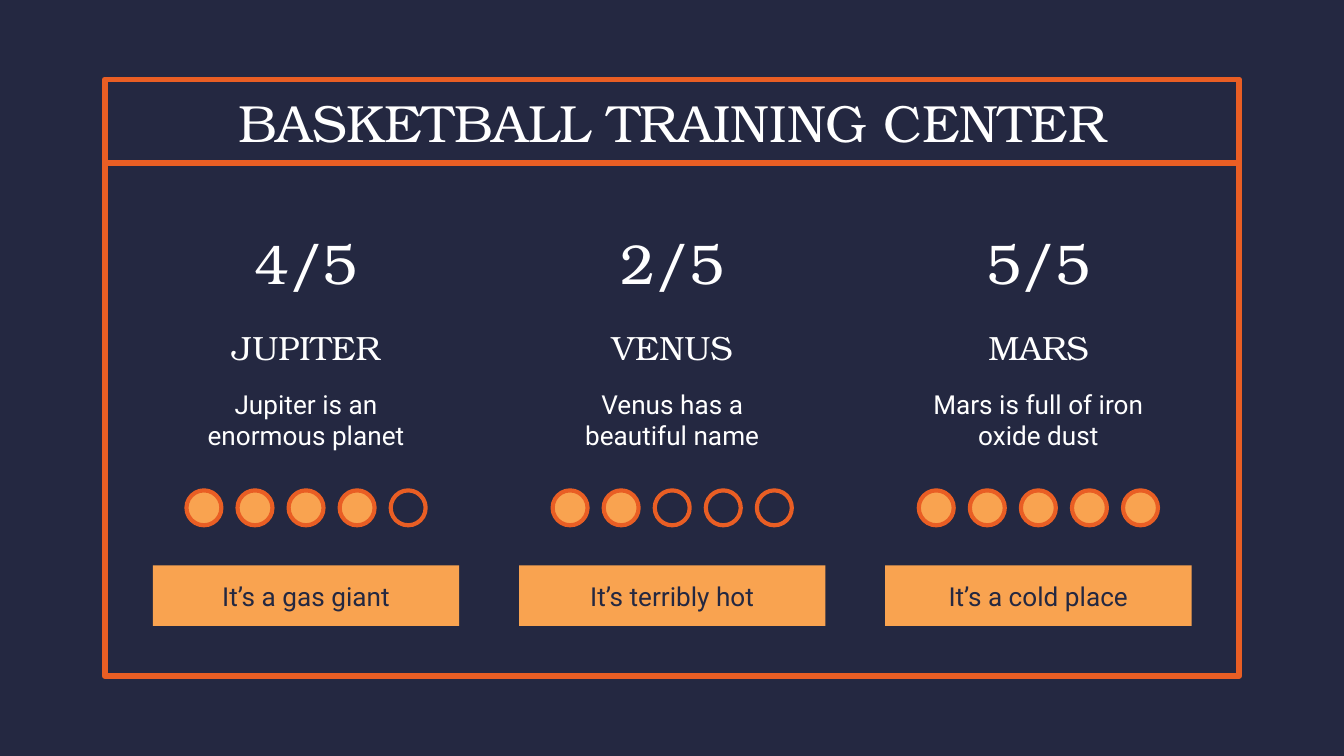
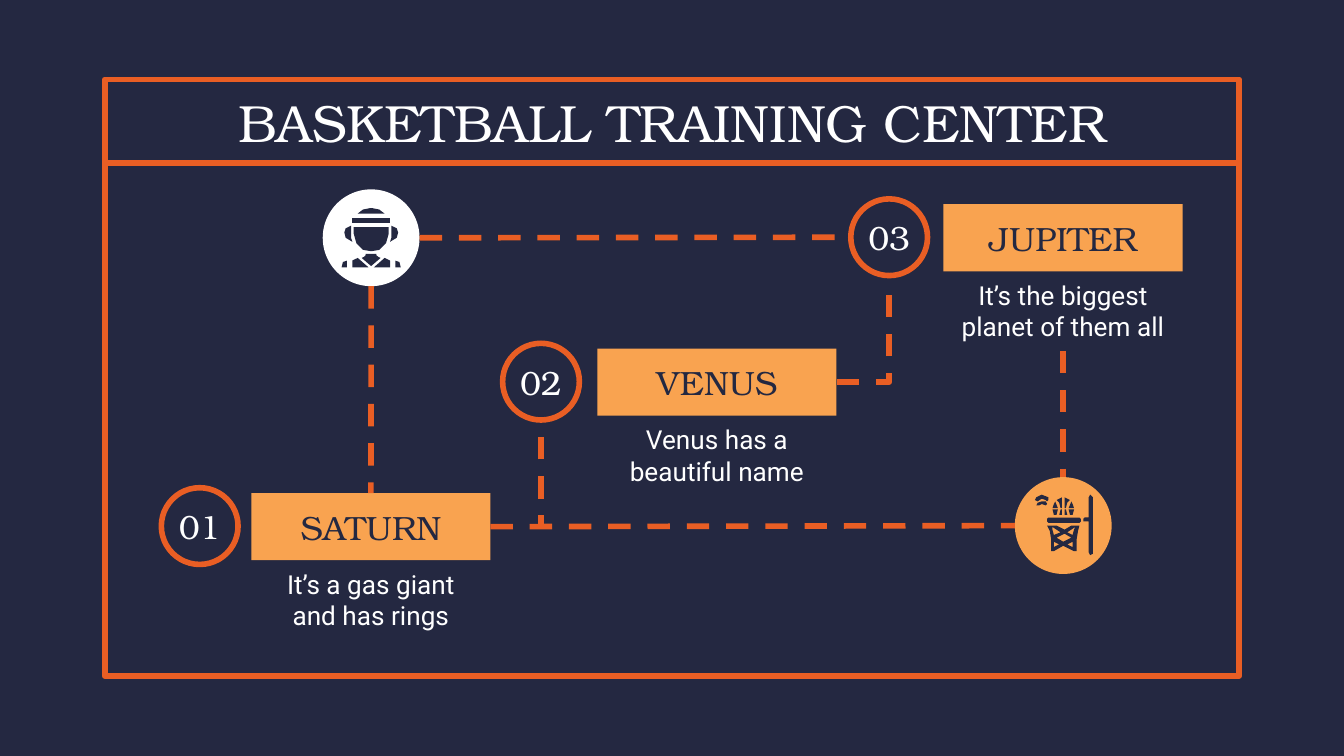
from lxml import etree
from pptx import Presentation
from pptx.dml.color import RGBColor
from pptx.enum.dml import MSO_LINE
from pptx.enum.shapes import MSO_CONNECTOR, MSO_SHAPE, PP_PLACEHOLDER
from pptx.enum.text import MSO_ANCHOR, MSO_AUTO_SIZE, PP_ALIGN
from pptx.oxml.ns import qn
from pptx.util import Cm, Pt

STRAIGHT, ELBOW = MSO_CONNECTOR.STRAIGHT, MSO_CONNECTOR.ELBOW
RECTANGLE, OVAL = MSO_SHAPE.RECTANGLE, MSO_SHAPE.OVAL
TOP, MIDDLE, BOTTOM = MSO_ANCHOR.TOP, MSO_ANCHOR.MIDDLE, MSO_ANCHOR.BOTTOM
CENTER = PP_ALIGN.CENTER
NO_AUTOFIT = MSO_AUTO_SIZE.NONE
DASH = MSO_LINE.DASH
TITLE = PP_PLACEHOLDER.TITLE

COLORS = {"navy": "242841", "orange": "E95E24", "peach": "F9A350", "white": "FFFFFF"}
SERIF, SANS = "TeX Gyre Bonum", "Roboto"
INSET = 0.25
HEADING = "BASKETBALL TRAINING CENTER"
FRAME = (1.98, 1.5, 21.44, 11.28)
TITLE_HEIGHT = 1.6
TEXT_WIDTH = 4.52
NAME_HEIGHT = 1.27
DESCRIPTION_HEIGHT = 1.6

RATINGS = [
    (4, "JUPITER", "Jupiter is an enormous planet", "It’s a gas giant"),
    (2, "VENUS", "Venus has a beautiful name", "It’s terribly hot"),
    (5, "MARS", "Mars is full of iron oxide dust", "It’s a cold place"),
]
DOT_COUNT = 5

STEPS = [
    ("01", 3.05, "SATURN", "It’s a gas giant and has rings"),
    ("02", 9.5, "VENUS", "Venus has a beautiful name"),
    ("03", 16.08, "JUPITER", "It’s the biggest planet of them all"),
]

ICON_SIZE = 1.83
ICON_UNITS = 72
PLAYER_CENTRAL = [
    [[(26, 18), (30, 15), (35, 14), (37, 14), (42, 15), (46, 18)]],
    [[(22, 21), (50, 21), (50, 25), (22, 25)]],
    [[(23, 28), (23, 33), (25, 40), (30, 45), (36, 46), (42, 45), (47, 40), (49, 33), (49, 28)]],
    [[(32, 48), (32, 49), (31, 50), (29, 51), (36, 57), (43, 51), (41, 50), (40, 49), (40, 48)]],
]
PLAYER_SIDE = [
    [[(21, 27), (17, 29), (16, 32), (17, 36), (22, 39), (21, 36), (21, 33)]],
    [[(18, 53), (15, 54), (14, 58), (18, 58)]],
    [[(26, 51), (22, 53), (22, 58), (34, 58)]],
]
HOOP_CENTRAL = [
    [[(20, 13), (16, 15), (15, 17), (17, 18), (20, 16), (23, 17), (24, 18), (25, 17), (25, 15)]],
    [[(20, 18), (17, 19), (16, 21), (18, 21), (20, 20), (23, 21), (24, 20), (23, 18)]],
    [[(56, 13), (55, 15), (55, 30), (52, 30), (51, 31), (51, 33), (55, 33), (55, 56), (56, 58),
      (58, 57), (58, 15)]],
    [[(25, 30), (24, 31), (24, 33), (25, 34), (48, 34), (49, 33), (49, 31), (48, 30)]],
    [
        [(24, 36), (26, 40), (27, 46), (27, 55), (29, 55), (36, 51), (44, 55), (46, 55), (46, 46),
         (47, 40), (48, 36), (42, 36), (37, 39), (31, 36)],
        [(45, 37), (44, 39), (43, 43), (39, 41)],
        [(28, 37), (34, 41), (29, 43), (28, 39)],
        [(37, 42), (42, 45), (36, 48), (31, 45)],
        [(29, 48), (33, 50), (29, 52)],
        [(43, 48), (43, 52), (39, 50)],
    ],
]
HOOP_SIDE = [
    [[(37, 24), (37, 28), (39, 28), (38, 24)]],
    [[(37, 15), (37, 23), (38, 23), (39, 19), (41, 17)]],
    [[(42, 18), (40, 23), (44, 23), (43, 20)]],
    [[(40, 24), (41, 28), (43, 28), (44, 24)]],
]


def color(name):
    return RGBColor.from_string(COLORS[name])


def write(shape, text, size, font, text_color, anchor=MIDDLE, side_inset=INSET, space_after=0):
    frame = shape.text_frame
    frame.word_wrap = True
    frame.auto_size = NO_AUTOFIT
    frame.vertical_anchor = anchor
    frame.margin_left = frame.margin_right = Cm(side_inset)
    frame.margin_top = frame.margin_bottom = Cm(INSET)
    frame.text = text
    paragraph = frame.paragraphs[0]
    paragraph.alignment = CENTER
    paragraph.space_after = Pt(space_after)
    for run in paragraph.runs:
        run.font.size = Pt(size)
        run.font.name = font
        run.font.color.rgb = color(text_color)


def paint(shape, fill=None, line=None, line_width=3):
    shape.shadow.inherit = False
    if fill:
        shape.fill.solid()
        shape.fill.fore_color.rgb = color(fill)
    else:
        shape.fill.background()
    if line:
        shape.line.color.rgb = color(line)
        shape.line.width = Pt(line_width)
    else:
        shape.line.fill.background()


def add_shape(slide, kind, box, fill=None, line=None, line_width=3):
    shape = slide.shapes.add_shape(kind, *map(Cm, box))
    paint(shape, fill, line, line_width)
    return shape


def add_text(slide, box, *args, **kwargs):
    shape = slide.shapes.add_textbox(*map(Cm, box))
    write(shape, *args, **kwargs)


def add_line(slide, start, end, kind=STRAIGHT, dashed=False):
    connector = slide.shapes.add_connector(kind, *start, *end)
    connector.line.color.rgb = color("orange")
    connector.line.width = Pt(3)
    if dashed:
        connector.line.dash_style = DASH
    properties = connector.element.spPr
    if kind == ELBOW:
        properties.find(qn("a:prstGeom")).set("prst", "bentConnector2")
    etree.SubElement(properties, qn("a:effectLst"))
    return connector


def edge(shape, across, down):
    return round(shape.left + shape.width * across), round(shape.top + shape.height * down)


def prepare_layout(presentation, layout):
    background = presentation.slide_master.background.fill
    background.solid()
    background.fore_color.rgb = color("navy")
    left, top, width, height = FRAME
    for placeholder in list(layout.placeholders):
        if placeholder.placeholder_format.type == TITLE:
            placeholder.left, placeholder.top = Cm(left), Cm(top)
            placeholder.width, placeholder.height = Cm(width), Cm(TITLE_HEIGHT)
        else:
            layout.shapes.element.remove(placeholder.element)


def add_frame(slide, layout, box):
    left, top, width, height = box
    border = add_shape(slide, RECTANGLE, box, line="orange")
    divider_top = Cm(top + TITLE_HEIGHT - 0.02)
    divider = add_line(slide, (Cm(left + 0.05), divider_top), (Cm(left + width - 0.05), divider_top))
    for part in (border, divider):
        layout.shapes.element.append(part.element)


def add_titled_slide(presentation, layout):
    slide = presentation.slides.add_slide(layout)
    write(slide.shapes.title, HEADING, 28, SERIF, "white")
    return slide


def add_rating(slide, box, score, name, description, remark):
    left, top, width, height = box
    text_left = left + (width - TEXT_WIDTH) / 2
    add_text(slide, (text_left, top, TEXT_WIDTH, NAME_HEIGHT),
             f"{score}/{DOT_COUNT}", 30, SERIF, "white", space_after=12)
    add_text(slide, (text_left, top + 1.6, TEXT_WIDTH, NAME_HEIGHT),
             name, 18, SERIF, "white", BOTTOM, space_after=12)
    add_text(slide, (text_left, top + 2.77, TEXT_WIDTH, DESCRIPTION_HEIGHT),
             description, 14, SANS, "white", TOP)
    dot_size = 0.66
    dot_pitch = (TEXT_WIDTH - dot_size) / (DOT_COUNT - 1)
    for index in range(DOT_COUNT):
        add_shape(slide, OVAL, (text_left + index * dot_pitch, top + 4.95, dot_size, dot_size),
                  "peach" if index < score else "navy", "orange", 2.25)
    button_height = 1.14
    button = add_shape(slide, RECTANGLE, (left, top + height - button_height, width, button_height), "peach")
    write(button, remark, 14, SANS, "navy")


def build_ratings(slide, box):
    left, top, width, height = box
    column_width = 5.79
    pitch = (width - column_width) / (len(RATINGS) - 1)
    for index, rating in enumerate(RATINGS):
        add_rating(slide, (left + index * pitch, top, column_width, height), *rating)


def add_step(slide, box, number, badge_left, name, description):
    left, top, width, height = box
    label = add_shape(slide, RECTANGLE, (left, top, width, NAME_HEIGHT), "peach")
    write(label, name, 18, SERIF, "navy", BOTTOM, space_after=12)
    add_text(slide, (left, top + height - DESCRIPTION_HEIGHT, width, DESCRIPTION_HEIGHT),
             description, 14, SANS, "white", TOP)
    badge = add_shape(slide, OVAL, (badge_left, top - 0.1, 1.45, 1.45), "navy", "orange")
    write(badge, number, 18, SERIF, "white", side_inset=0)
    return label, badge


def mirrored(outlines):
    return [[[(ICON_UNITS - x, y) for x, y in contour] for contour in outline] for outline in outlines]


def add_icon(slide, left, top, fill, central, side):
    disc = add_shape(slide, OVAL, (left, top, ICON_SIZE, ICON_SIZE), fill)
    group = slide.shapes.add_group_shape()
    for outline in central + side + mirrored(side):
        builder = group.shapes.build_freeform(*outline[0][0], scale=Cm(ICON_SIZE) / ICON_UNITS)
        builder.add_line_segments(outline[0][1:], close=True)
        for contour in outline[1:]:
            builder.move_to(*contour[0])
            builder.add_line_segments(contour[1:], close=True)
        paint(builder.convert_to_shape(Cm(left), Cm(top)), "navy")
    return disc


def build_route(slide, box):
    left, top, width, height = box
    step_height = 2.77
    pitch_x = (width - TEXT_WIDTH) / (len(STEPS) - 1)
    pitch_y = (height - step_height) / (len(STEPS) - 1)
    steps = []
    for index, step in enumerate(STEPS):
        step_top = top + height - step_height - index * pitch_y
        steps.append(add_step(slide, (left + index * pitch_x, step_top, TEXT_WIDTH, step_height), *step))
    player = add_icon(slide, left + 1.35, top - 0.28, "white", PLAYER_CENTRAL, PLAYER_SIDE)
    hoop = add_icon(slide, left + 14.43, top + 5.16, "peach", HOOP_CENTRAL, HOOP_SIDE)

    for (label, _), (_, next_badge) in zip(steps, steps[1:]):
        add_line(slide, edge(label, 1, 0.5), edge(next_badge, 0.5, 1), ELBOW, dashed=True)
    first_label, last_badge = steps[0][0], steps[-1][1]
    hoop_top = edge(hoop, 0.5, 0)
    for start, end in [
        ((hoop_top[0], Cm(top + step_height)), hoop_top),
        (edge(first_label, 1, 0.5), edge(hoop, 0, 0.5)),
        (edge(player, 0.5, 1), edge(first_label, 0.5, 0)),
        (edge(player, 1, 0.5), edge(last_badge, 0, 0.5)),
    ]:
        add_line(slide, start, end, dashed=True)


def main():
    presentation = Presentation()
    presentation.slide_width, presentation.slide_height = Cm(25.4), Cm(14.29)
    layout = presentation.slide_layouts[5]
    prepare_layout(presentation, layout)
    ratings_slide = add_titled_slide(presentation, layout)
    add_frame(ratings_slide, layout, FRAME)
    build_ratings(ratings_slide, (2.89, 4.32, 19.63, 7.51))
    build_route(add_titled_slide(presentation, layout), (4.75, 3.86, 17.6, 8.23))
    presentation.save("out.pptx")


if __name__ == "__main__":
    main()
